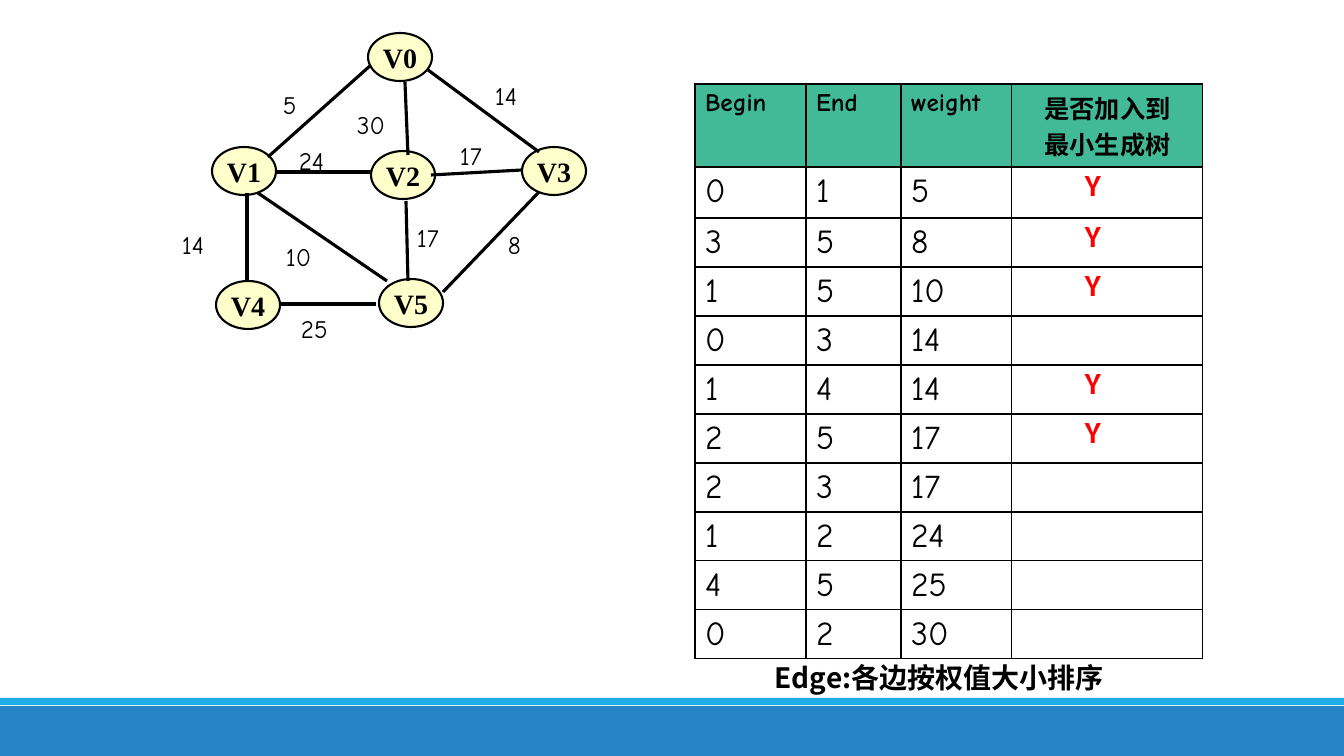
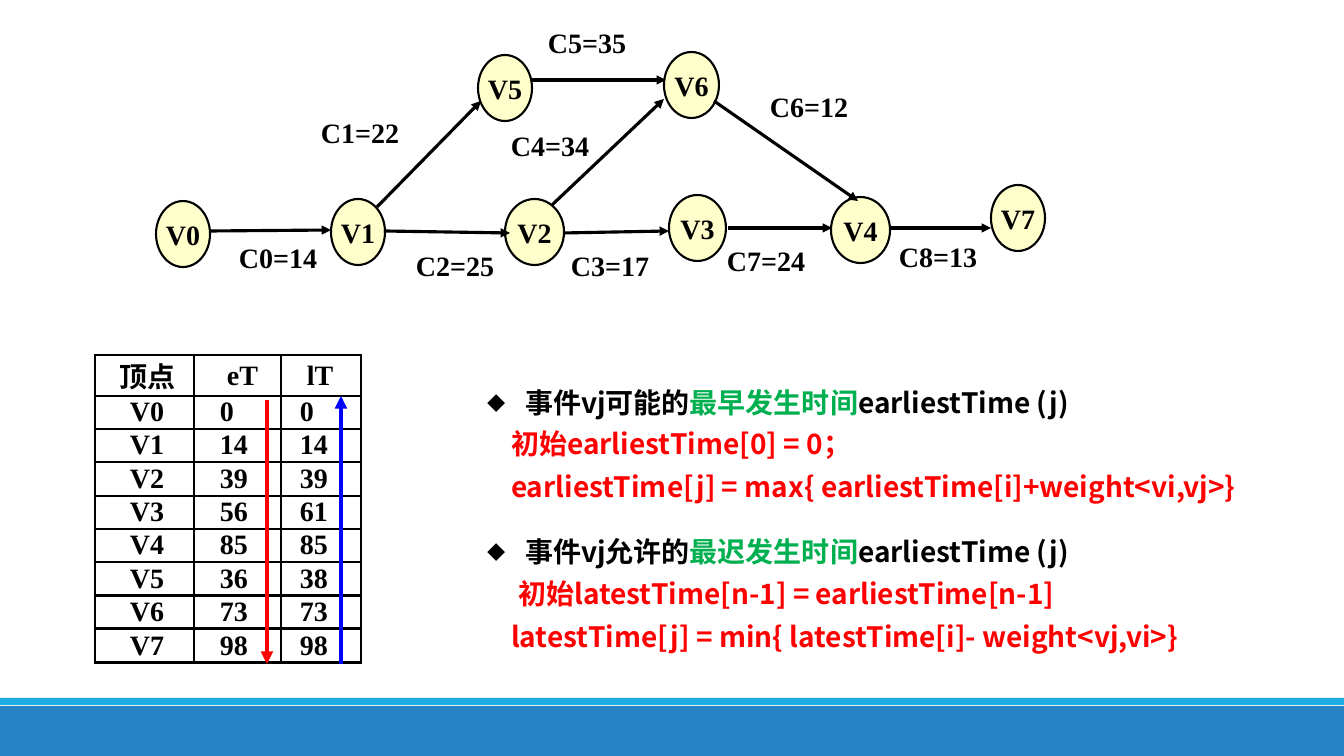
"""Builds two slides: a minimum spanning tree trace and a critical path trace."""
from lxml.etree import SubElement
from pptx import Presentation
from pptx.dml.color import RGBColor
from pptx.enum.shapes import MSO_CONNECTOR, MSO_SHAPE
from pptx.enum.text import MSO_ANCHOR, MSO_AUTO_SIZE, PP_ALIGN
from pptx.oxml import parse_xml
from pptx.oxml.ns import nsdecls, qn
from pptx.util import Pt

PX = 9071
BLACK, RED, BLUE, GREEN = "000000", "FF0000", "0000FF", "00B050"
NODE_FILL, HEADER_FILL = "FFFFCC", "42BA97"
BAND_BLUE, BAND_CYAN = "2683C6", "1CADE4"
SANS, SERIF, HAND, MARK = "Noto Sans CJK SC", "Times New Roman", "Comic Neue", "Calibri"


def rgb(value):
    """Turn a hex string into a colour."""
    return RGBColor.from_string(value)


def write(paragraph, text, face, size, color=BLACK, bold=True):
    """Put text in a paragraph and set its font."""
    paragraph.text = text
    font = paragraph.font
    font.size, font.bold, font.name = Pt(size), bold, face
    font.color.rgb = rgb(color)
    SubElement(font._element, qn("a:ea")).set("typeface", SANS)


deck = Presentation()
deck.slide_width, deck.slide_height = 1344 * PX, 756 * PX
spanning_tree = deck.slides.add_slide(deck.slide_layouts[6])
critical_path = deck.slides.add_slide(deck.slide_layouts[1])
title = critical_path.shapes.title.element
title.getparent().remove(title)

for top, height, color in [(706, 50, BAND_BLUE), (698, 7, BAND_CYAN)]:
    band = spanning_tree.shapes.add_shape(MSO_SHAPE.RECTANGLE, 0, top * PX, 1344 * PX, height * PX)
    band.shadow.inherit = False
    band.fill.solid()
    band.fill.fore_color.rgb = rgb(color)
    band.line.fill.background()
    deck.slide_master.shapes.element.append(band.element)

edge_rows = [
    ("Begin", "End", "weight", "是否加入到\n最小生成树"),
    ("0", "1", "5", "Y"),
    ("3", "5", "8", "Y"),
    ("1", "5", "10", "Y"),
    ("0", "3", "14", ""),
    ("1", "4", "14", "Y"),
    ("2", "5", "17", "Y"),
    ("2", "3", "17", ""),
    ("1", "2", "24", ""),
    ("4", "5", "25", ""),
    ("0", "2", "30", ""),
]
edge_table = spanning_tree.shapes.add_table(11, 4, 695 * PX, 84 * PX, 508 * PX, 574 * PX).table
for column, width in zip(edge_table.columns, [111, 95, 111, 191]):
    column.width = width * PX
for row, height in zip(edge_table.rows, [83, 51] + [49] * 9):
    row.height = height * PX
for r, values in enumerate(edge_rows):
    for c, value in enumerate(values):
        cell = edge_table.cell(r, c)
        cell.text = value
        for paragraph in cell.text_frame.paragraphs:
            if r == 0:
                write(paragraph, paragraph.text, HAND, 18)
                paragraph.alignment = PP_ALIGN.CENTER if c == 3 else PP_ALIGN.LEFT
            elif c < 3:
                write(paragraph, value, HAND, 24, bold=False)
            elif value:
                write(paragraph, value, MARK, 22, RED)
                cell.margin_left, cell.margin_top = 73 * PX, 0

time_rows = [
    ("顶点", "eT", "lT"),
    ("V0", "0", "0"),
    ("V1", "14", "14"),
    ("V2", "39", "39"),
    ("V3", "56", "61"),
    ("V4", "85", "85"),
    ("V5", "36", "38"),
    ("V6", "73", "73"),
    ("V7", "98", "98"),
]
time_table = critical_path.shapes.add_table(9, 3, 95 * PX, 355 * PX, 266 * PX, 308 * PX).table
for column, width in zip(time_table.columns, [99, 87, 80]):
    column.width = width * PX
time_table.rows[0].height = 41 * PX
for i in range(8):
    time_table.rows[i + 1].height = ((i + 1) * 267 // 8 - i * 267 // 8) * PX
for r, values in enumerate(time_rows):
    indents = (35, 26, 19) if r else (25, 33, 26)
    for c, value in enumerate(values):
        cell = time_table.cell(r, c)
        cell.margin_left = indents[c] * PX
        cell.margin_top = cell.margin_bottom = cell.margin_right = 0
        cell.vertical_anchor = MSO_ANCHOR.MIDDLE
        write(cell.text_frame.paragraphs[0], value, SERIF, 20)

for table, border in [(edge_table, 1), (time_table, 2.25)]:
    table.first_row = table.horz_banding = False
    for cell in table.iter_cells():
        cell.fill.background()
        borders = cell._tc.get_or_add_tcPr()
        for i, side in enumerate(["lnL", "lnR", "lnT", "lnB"]):
            borders.insert(i, parse_xml(
                f'<a:{side} {nsdecls("a")} w="{Pt(border)}"><a:solidFill>'
                f'<a:srgbClr val="{BLACK}"/></a:solidFill></a:{side}>'))
for c in range(4):
    header = edge_table.cell(0, c)
    header.fill.solid()
    header.fill.fore_color.rgb = rgb(HEADER_FILL)

tree_nodes = [
    ("V0", 368, 33, 64, 48), ("V1", 212, 147, 64, 48), ("V2", 371, 151, 64, 48),
    ("V3", 522, 147, 64, 48), ("V4", 216, 281, 64, 48), ("V5", 379, 279, 64, 48),
]
tree_edges = [
    (268, 157, 371, 65), (428, 70, 539, 152), (258, 193, 387, 281), (539, 192, 443, 292),
    (280, 304, 376, 304), (247, 193, 247, 281), (406, 201, 408, 281), (431, 175, 522, 170),
    (276, 172, 371, 172), (405, 82, 408, 155),
]
path_nodes = [
    ("V0", 156, 201, 54, 66), ("V1", 331, 199, 54, 66), ("V2", 505, 199, 59, 66),
    ("V3", 669, 195, 57, 66), ("V4", 831, 197, 59, 66), ("V5", 478, 55, 54, 66),
    ("V6", 664, 52, 55, 66), ("V7", 991, 185, 54, 66),
]
path_edges = [
    (211, 231, 331, 230), (377, 207, 481, 101), (384, 231, 510, 233), (552, 205, 664, 99),
    (714, 101, 858, 201), (564, 233, 669, 231), (890, 228, 991, 228), (728, 228, 832, 228),
    (532, 80, 666, 80),
]
time_arrows = [(267, 400, 267, 664, RED, 3), (341, 664, 341, 396, BLUE, 3)]
path_arrows = [(*edge, BLACK, 2.25) for edge in path_edges] + time_arrows
tree_lines = [(*edge, BLACK, 2.25) for edge in tree_edges]

for slide, nodes, links, directed in [
    (spanning_tree, tree_nodes, tree_lines, False),
    (critical_path, path_nodes, path_arrows, True),
]:
    for name, *box in nodes:
        node = slide.shapes.add_shape(MSO_SHAPE.OVAL, *(v * PX for v in box))
        node.shadow.inherit = False
        node.fill.solid()
        node.fill.fore_color.rgb = rgb(NODE_FILL)
        node.line.color.rgb = rgb(BLACK)
        node.line.width = Pt(1.5)
        node.text_frame.word_wrap = False
        node.text_frame.vertical_anchor = MSO_ANCHOR.MIDDLE
        write(node.text_frame.paragraphs[0], name, SERIF, 20)
        node.text_frame.paragraphs[0].alignment = PP_ALIGN.CENTER
    for *ends, color, weight in links:
        link = slide.shapes.add_connector(MSO_CONNECTOR.STRAIGHT, *(v * PX for v in ends))
        link.line.color.rgb = rgb(color)
        link.line.width = Pt(weight)
        outline = link.element.spPr
        if directed:
            SubElement(outline.find(qn("a:ln")), qn("a:tailEnd")).set("type", "triangle")
        SubElement(outline, qn("a:effectLst"))

weights = [
    ("10", 276, 236), ("5", 273, 84), ("17", 407, 217), ("17", 450, 135), ("8", 498, 224),
    ("25", 291, 308), ("14", 172, 224), ("14", 485, 75), ("30", 347, 104), ("24", 289, 140),
]
activities = [
    ("C0=14", 229, 236), ("C1=22", 311, 111), ("C2=25", 406, 244), ("C3=17", 561, 244),
    ("C4=34", 501, 124), ("C5=35", 538, 21), ("C6=12", 760, 85), ("C7=24", 717, 239),
    ("C8=13", 889, 235),
]
caption = [("Edge:各边按权值大小排序", 765, 656)]
for slide, labels, width, height, face, size, bold in [
    (spanning_tree, weights, 56, 40, HAND, 18, False),
    (spanning_tree, caption, 365, 44, SANS, 20, True),
    (critical_path, activities, 100, 44, SERIF, 20, True),
]:
    for text, left, top in labels:
        label = slide.shapes.add_textbox(left * PX, top * PX, width * PX, height * PX)
        label.text_frame.word_wrap = False
        write(label.text_frame.paragraphs[0], text, face, size, bold=bold)

rules = critical_path.placeholders[1]
rules.left, rules.top, rules.width, rules.height = (v * PX for v in (426, 384, 895, 310))
rules.text_frame.auto_size = MSO_AUTO_SIZE.NONE
rules.text_frame.vertical_anchor = MSO_ANCHOR.TOP
rule_lines = [
    (0, 89, [("事件vj可能的", BLACK), ("最早发生时间", GREEN), ("earliestTime (j)", BLACK)]),
    (8, 75, [("初始earliestTime[0] = 0；", RED)]),
    (9, 75, [("earliestTime[j] = max{ earliestTime[i]+weight<vi,vj>}", RED)]),
    (25, 89, [("事件vj允许的", BLACK), ("最迟发生时间", GREEN), ("earliestTime (j)", BLACK)]),
    (8, 82, [("初始latestTime[n-1] = earliestTime[n-1]", RED)]),
    (9, 75, [("latestTime[j] = min{ latestTime[i]- weight<vj,vi>}", RED)]),
]
for i, (gap, indent, parts) in enumerate(rule_lines):
    paragraph = rules.text_frame.add_paragraph() if i else rules.text_frame.paragraphs[0]
    write(paragraph, "", SANS, 20, parts[0][1])
    paragraph.line_spacing = 0.9
    paragraph.space_before, paragraph.space_after = Pt(gap), Pt(0)
    for text, color in parts:
        run = paragraph.add_run()
        run.text = text
        run.font.color.rgb = rgb(color)
    heading = len(parts) > 1
    layout = paragraph._p.get_or_add_pPr()
    layout.set("marL", str(indent * PX))
    layout.set("indent", str(-38 * PX if heading else 0))
    bullets = ['buSzPct val="65000"', f'buFont typeface="{SANS}"', 'buChar char="◆"']
    for bullet in bullets if heading else ["buNone"]:
        tag, _, attributes = bullet.partition(" ")
        paragraph.font._element.addprevious(parse_xml(f'<a:{tag} {nsdecls("a")} {attributes}/>'))

deck.save("out.pptx")
